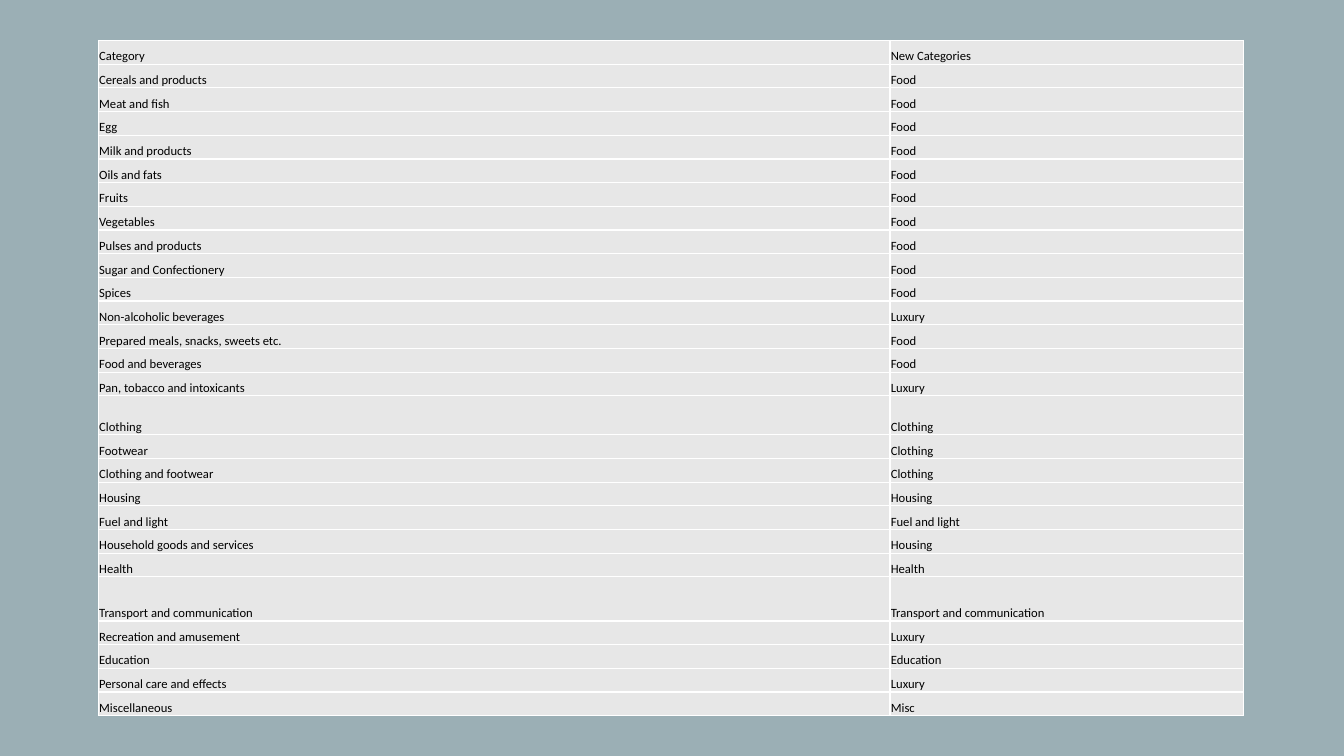
import dataclasses

import lxml.etree
import pptx
import pptx.dml.color
import pptx.enum.text
import pptx.oxml.ns
import pptx.util

Cm = pptx.util.Cm
Pt = pptx.util.Pt


@dataclasses.dataclass(frozen=True)
class Theme:
    back: str = "9BAFB5"
    fill: str = "E7E7E7"
    line: str = "FFFFFF"
    text: str = "000000"
    font: str = "Calibri"
    size: float = 9
    rule: float = 1


class Deck:
    def __init__(self, theme, wide, high):
        self.theme = theme
        self.show = pptx.Presentation()
        self.show.slide_width = Cm(wide)
        self.show.slide_height = Cm(high)
        self.slide = self.show.slides.add_slide(self.show.slide_layouts[6])
        self.paint(self.slide.background.fill, theme.back)

    def paint(self, fill, color):
        fill.solid()
        fill.fore_color.rgb = pptx.dml.color.RGBColor.from_string(color)

    def border(self, cell):
        props = cell._tc.get_or_add_tcPr()
        name = pptx.oxml.ns.qn
        for spot, side in enumerate(("a:lnL", "a:lnR", "a:lnT", "a:lnB")):
            line = lxml.etree.Element(name(side), w=str(Pt(self.theme.rule)))
            solid = lxml.etree.SubElement(line, name("a:solidFill"))
            lxml.etree.SubElement(solid, name("a:srgbClr"), val=self.theme.line)
            props.insert(spot, line)

    def cell(self, cell, text):
        cell.text = text
        cell.vertical_anchor = pptx.enum.text.MSO_ANCHOR.BOTTOM
        cell.margin_left = cell.margin_right = cell.margin_top = Cm(0.02)
        cell.margin_bottom = 0
        font = cell.text_frame.paragraphs[0].font
        font.name = self.theme.font
        font.size = Pt(self.theme.size)
        self.paint(font.fill, self.theme.text)
        self.paint(cell.fill, self.theme.fill)
        self.border(cell)

    def table(self, rows, left, top, widths, high, tall):
        frame = self.slide.shapes.add_table(
            len(rows), len(widths), Cm(left), Cm(top), Cm(sum(widths)), Cm(high)
        )
        grid = frame.table
        grid.first_row = grid.horz_banding = False
        for column, width in zip(grid.columns, widths):
            column.width = Cm(width)
        short = (high - sum(tall.values())) / (len(rows) - len(tall))
        for row, texts in zip(grid.rows, rows):
            row.height = Cm(tall.get(texts[0], short))
            for cell, text in zip(row.cells, texts):
                self.cell(cell, text)


ROWS = [
    ("Category", "New Categories"),
    ("Cereals and products", "Food"),
    ("Meat and fish", "Food"),
    ("Egg", "Food"),
    ("Milk and products", "Food"),
    ("Oils and fats", "Food"),
    ("Fruits", "Food"),
    ("Vegetables", "Food"),
    ("Pulses and products", "Food"),
    ("Sugar and Confectionery", "Food"),
    ("Spices", "Food"),
    ("Non-alcoholic beverages", "Luxury"),
    ("Prepared meals, snacks, sweets etc.", "Food"),
    ("Food and beverages", "Food"),
    ("Pan, tobacco and intoxicants", "Luxury"),
    ("Clothing", "Clothing"),
    ("Footwear", "Clothing"),
    ("Clothing and footwear", "Clothing"),
    ("Housing", "Housing"),
    ("Fuel and light", "Fuel and light"),
    ("Household goods and services", "Housing"),
    ("Health", "Health"),
    ("Transport and communication", "Transport and communication"),
    ("Recreation and amusement", "Luxury"),
    ("Education", "Education"),
    ("Personal care and effects", "Luxury"),
    ("Miscellaneous", "Misc"),
]


def main():
    deck = Deck(Theme(), 33.87, 19.05)
    tall = {"Clothing": 0.98, "Transport and communication": 1.11}
    deck.table(ROWS, 2.48, 1.02, (19.95, 8.9), 17.02, tall)
    deck.show.save("out.pptx")


if __name__ == "__main__":
    main()
